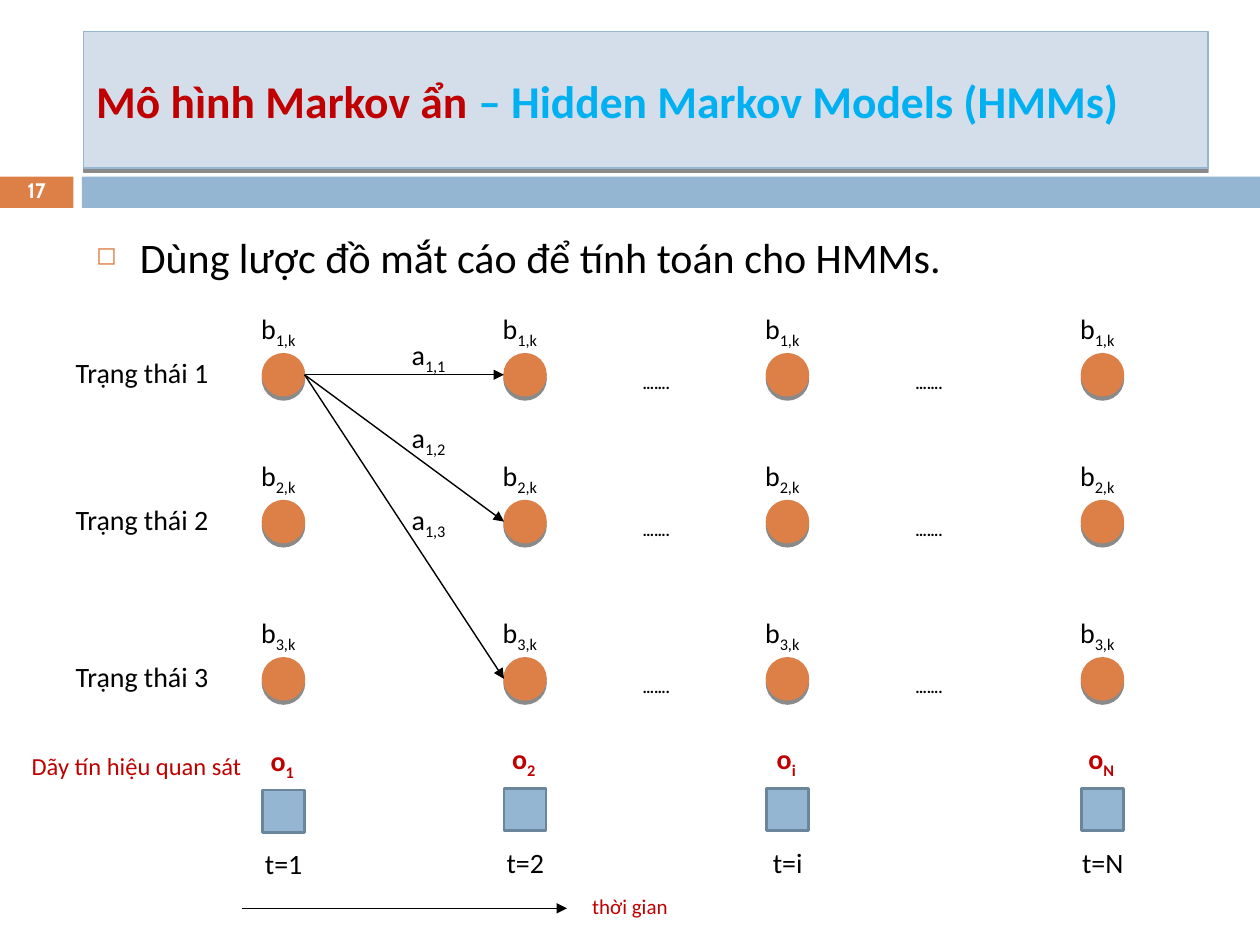
from typing import NamedTuple

from lxml import etree
from pptx import Presentation
from pptx.dml.color import RGBColor
from pptx.enum.shapes import MSO_CONNECTOR, MSO_SHAPE
from pptx.enum.text import MSO_ANCHOR, MSO_AUTO_SIZE, PP_ALIGN
from pptx.oxml.ns import qn
from pptx.util import Cm, Pt

RECTANGLE, OVAL = MSO_SHAPE.RECTANGLE, MSO_SHAPE.OVAL
STRAIGHT, ELBOW = MSO_CONNECTOR.STRAIGHT, MSO_CONNECTOR.ELBOW
LEFT, CENTER, RIGHT = PP_ALIGN.LEFT, PP_ALIGN.CENTER, PP_ALIGN.RIGHT
TOP, MIDDLE = MSO_ANCHOR.TOP, MSO_ANCHOR.MIDDLE
FIT = MSO_AUTO_SIZE.SHAPE_TO_FIT_TEXT

ORANGE, BLUE, PALE_BLUE, SLATE = "DD8047", "94B6D2", "D3DEEA", "6B859A"
RED, CYAN, BLACK, WHITE = "C00000", "00B0F0", "000000", "FFFFFF"

NODE = 0.85  # diameter of a state and side of an observation square
LABEL_W, LABEL_H = 1.48, 1.03
STATE_TOPS = (7.13, 10.09, 13.26)
DOTS_LEFTS = (12.49, 17.99)


class Area(NamedTuple):
    left: float
    top: float
    width: float
    height: float


class Span(NamedTuple):
    text: str
    size: float = 16
    color: str = BLACK
    bold: bool = False
    subscript: bool = False
    font: str = "Calibri"


class Step(NamedTuple):
    name: str
    left: float
    drop: float = 0


STEPS = (Step("1", 5.29, 0.03), Step("2", 10.16), Step("i", 15.45), Step("N", 21.8))


def rgb(color: str) -> RGBColor:
    return RGBColor.from_string(color)


def place(area: Area) -> list:
    return [Cm(length) for length in area]


def add_spans(para, spans: list[Span]) -> None:
    for span in spans:
        run = para.add_run()
        run.text = span.text
        formats = {"size": Pt(span.size), "bold": span.bold, "name": span.font}
        for name, value in formats.items():
            setattr(run.font, name, value)
        run.font.color.rgb = rgb(span.color)
        if span.subscript:
            run.font._element.set("baseline", "-25000")


def add_text(page, area: Area, spans: list[Span], align=CENTER, anchor=TOP,
             side_inset: float = 0.25, fit=FIT):
    """Add a wrapping text box and return its paragraph."""
    frame = page.shapes.add_textbox(*place(area)).text_frame
    formats = {"word_wrap": True, "auto_size": fit, "vertical_anchor": anchor,
               "margin_left": Cm(side_inset), "margin_right": Cm(side_inset)}
    for name, value in formats.items():
        setattr(frame, name, value)
    para = frame.paragraphs[0]
    para.alignment = align
    add_spans(para, spans)
    return para


def add_drop_shadow(shape) -> None:
    effects = shape._element.spPr.find(qn("a:effectLst"))
    shadow = etree.SubElement(effects, qn("a:outerShdw"), blurRad="0", dist="30480",
                              dir="5400000", algn="ctr", rotWithShape="0")
    color = etree.SubElement(shadow, qn("a:srgbClr"), val=BLACK)
    etree.SubElement(color, qn("a:alpha"), val="45000")


def add_block(page, kind, area: Area, fill: str, line: str = "",
              weight: float = 0.79, shadow: bool = False):
    shape = page.shapes.add_shape(kind, *place(area))
    shape.shadow.inherit = False
    shape.fill.solid()
    shape.fill.fore_color.rgb = rgb(fill)
    if line:
        shape.line.color.rgb = rgb(line)
        shape.line.width = Pt(weight)
    else:
        shape.line.fill.background()
    if shadow:
        add_drop_shadow(shape)
    return shape


def add_arrow(page, start: tuple[float, float], end: tuple[float, float],
              kind=STRAIGHT) -> None:
    arrow = page.shapes.add_connector(kind, *place((*start, *end)))
    arrow.line.color.rgb = rgb(BLACK)
    arrow.line.width = Pt(0.79)
    etree.SubElement(arrow.line._get_or_add_ln(), qn("a:tailEnd"), type="triangle")
    etree.SubElement(arrow._element.spPr, qn("a:effectLst"))


def add_symbol(page, left: float, top: float, letter: str, index: str,
               color: str = BLACK, bold: bool = False) -> None:
    """Add a letter with a subscript index."""
    add_text(page, Area(left, top, LABEL_W, LABEL_H),
             [Span(letter, color=color, bold=bold),
              Span(index, color=color, bold=bold, subscript=True)])


def add_header(page) -> None:
    add_block(page, RECTANGLE, Area(0, 3.56, 1.48, 0.63), ORANGE)
    add_block(page, RECTANGLE, Area(1.65, 3.56, 23.75, 0.63), BLUE)
    title = add_block(page, RECTANGLE, Area(1.69, 0.64, 22.66, 2.75), PALE_BLUE,
                      BLUE, shadow=True)
    title.text_frame.word_wrap = True
    title.text_frame.vertical_anchor = MIDDLE
    para = title.text_frame.paragraphs[0]
    para.alignment = LEFT
    add_spans(para, [Span("Mô hình Markov ẩn ", 26, RED, True),
                     Span("– Hidden Markov Models (HMMs)", 26, CYAN, True)])
    number = add_text(page, Area(0, 3.53, 1.48, 0.69),
                      [Span("17", 12, WHITE, True, font="Cabin")],
                      anchor=MIDDLE, fit=MSO_AUTO_SIZE.NONE)
    number.line_spacing = 0.8


def add_bullet_line(page) -> None:
    para = add_text(page, Area(1.69, 4.45, 22.66, 12.5),
                    [Span("Dùng lược đồ mắt cáo để tính toán cho HMMs.", 24)],
                    LEFT, fit=MSO_AUTO_SIZE.NONE)
    para.line_spacing = 1.1
    para.space_after = Pt(3)
    layout = para._p.get_or_add_pPr()
    layout.set("marL", str(Cm(0.88)))
    layout.set("indent", str(-Cm(0.88)))
    color = etree.SubElement(layout, qn("a:buClr"))
    etree.SubElement(color, qn("a:srgbClr"), val=ORANGE)
    etree.SubElement(layout, qn("a:buSzPct"), val="60000")
    etree.SubElement(layout, qn("a:buChar"), char="◻")


def add_states(page) -> None:
    for number, top in enumerate(STATE_TOPS, 1):
        add_text(page, Area(1.06, top - 0.08, 3.39, 1.63),
                 [Span(f"Trạng thái {number}")], RIGHT)
        for step in STEPS:
            add_block(page, OVAL, Area(step.left, top, NODE, NODE), ORANGE, ORANGE,
                      shadow=True)
            add_symbol(page, step.left - 0.42, top - 0.97, "b", f"{number},k")
        for left in DOTS_LEFTS:
            add_text(page, Area(left, top - 0.11, LABEL_W, LABEL_H),
                     [Span("…….", bold=True, subscript=True)])


def add_observations(page) -> None:
    add_text(page, Area(0, 15.01, 4.87, 1.45),
             [Span("Dãy tín hiệu quan sát", 14, RED)], RIGHT, side_inset=0)
    for step in STEPS:
        add_symbol(page, step.left - 0.34, 14.83 + step.drop, "o", step.name, RED, True)
        add_block(page, RECTANGLE, Area(step.left, 15.9 + step.drop, NODE, NODE),
                  BLUE, SLATE, 1.5)
        add_text(page, Area(step.left - 0.42, 16.92 + step.drop, 1.7, 0.94),
                 [Span(f"t={step.name}")])


def add_transitions(page) -> None:
    start = (STEPS[0].left + NODE, STATE_TOPS[0] + NODE / 2)
    for number, top in enumerate(STATE_TOPS, 1):
        end = (STEPS[1].left, top + NODE / 2)
        add_arrow(page, start, end, ELBOW if number == 1 else STRAIGHT)
        add_symbol(page, 7.9, 6.68 + 1.665 * (number - 1), "a", f"1,{number}")


def add_time_axis(page) -> None:
    add_arrow(page, (4.87, 18.31), (11.43, 18.31))
    add_text(page, Area(11.64, 17.88, 2.12, 0.76), [Span("thời gian", 12, RED)],
             side_inset=0)


def main() -> None:
    deck = Presentation()
    deck.slide_width, deck.slide_height = Cm(25.4), Cm(19.05)
    page = deck.slides.add_slide(deck.slide_layouts[6])
    for add_part in (add_header, add_bullet_line, add_states, add_observations,
                     add_transitions, add_time_axis):
        add_part(page)
    deck.save("out.pptx")


if __name__ == "__main__":
    main()
